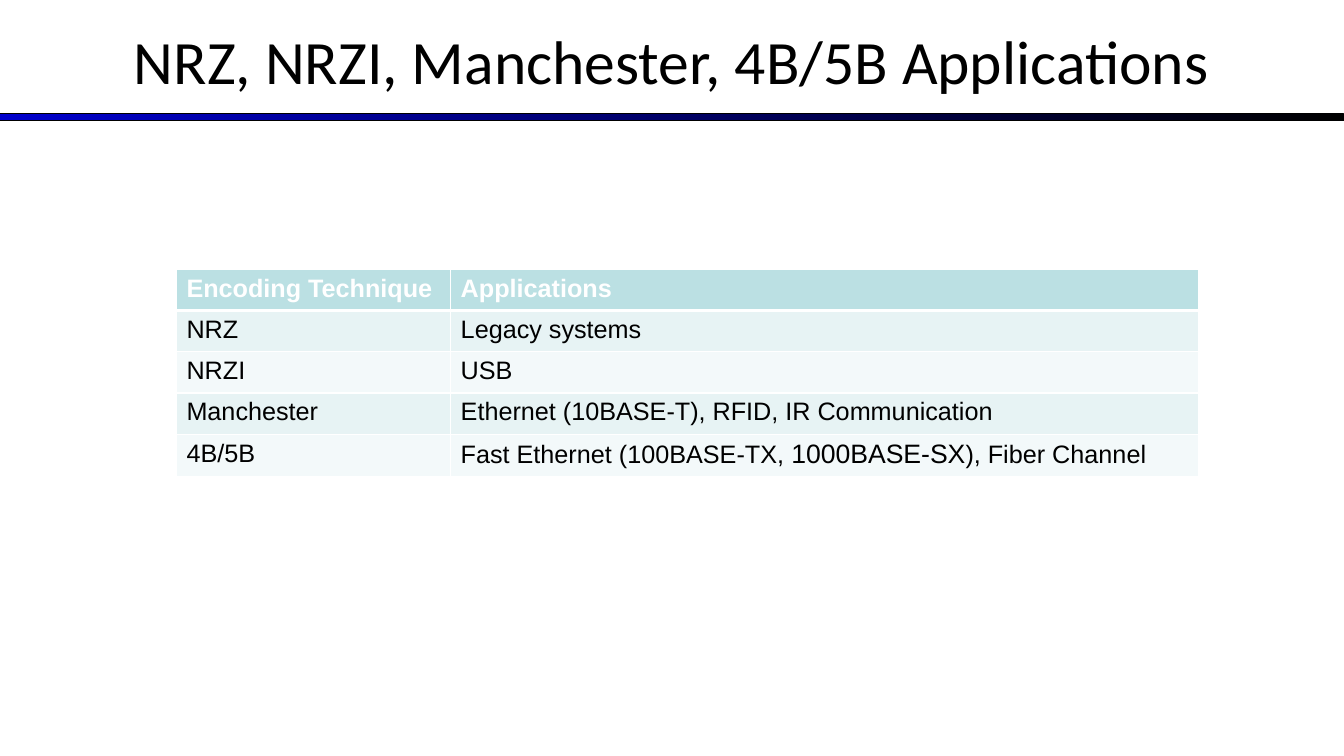
from dataclasses import dataclass

from lxml import etree
from pptx import Presentation
from pptx.dml.color import RGBColor
from pptx.enum.shapes import MSO_SHAPE
from pptx.enum.text import MSO_ANCHOR, PP_ALIGN
from pptx.oxml.ns import qn
from pptx.util import Inches, Pt

RECT = MSO_SHAPE.RECTANGLE
MIDDLE = MSO_ANCHOR.MIDDLE
CENTER = PP_ALIGN.CENTER

BLACK = RGBColor(0x00, 0x00, 0x00)
WHITE = RGBColor(0xFF, 0xFF, 0xFF)
BLUE = RGBColor(0x00, 0x00, 0xCC)
HEADER = RGBColor(0xBB, 0xE0, 0xE3)
BANDS = (RGBColor(0xE7, 0xF3, 0xF4), RGBColor(0xF3, 0xF9, 0xFA))

SLIDE_W, SLIDE_H = 13.33, 7.5
COL_WIDTHS = (2.72, 7.42)
ROW_H = 0.41
THIN, THICK = 1, 3

TITLE_FONT = {"name": "Calibri", "size": Pt(44)}
HEADER_FONT = {"name": "Arial", "size": Pt(18), "bold": True}
BODY_FONT = {"name": "Arial", "size": Pt(18), "bold": False}
LARGE_FONT = {**BODY_FONT, "size": Pt(19)}


@dataclass(frozen=True)
class Run:
    text: str
    font: dict
    color: RGBColor = BLACK


@dataclass(frozen=True)
class Row:
    technique: Run
    applications: tuple[Run, ...]
    fill: RGBColor


def body_row(index: int, technique: str, *applications: Run) -> Row:
    return Row(Run(technique, BODY_FONT), applications, BANDS[index % 2])


ROWS = (
    Row(
        Run("Encoding Technique", HEADER_FONT, WHITE),
        (Run("Applications", HEADER_FONT, WHITE),),
        HEADER,
    ),
    body_row(0, "NRZ", Run("Legacy systems", BODY_FONT)),
    body_row(1, "NRZI", Run("USB", BODY_FONT)),
    body_row(2, "Manchester", Run("Ethernet (10BASE-T), RFID, IR Communication", BODY_FONT)),
    body_row(
        3,
        "4B/5B",
        Run("Fast Ethernet (100BASE-TX, ", BODY_FONT),
        Run("1000BASE-SX", LARGE_FONT),
        Run("), Fiber Channel", BODY_FONT),
    ),
)


def add_runs(p, runs: tuple[Run, ...]) -> None:
    for run in runs:
        r = p.add_run()
        r.text = run.text
        for name, value in run.font.items():
            setattr(r.font, name, value)
        r.font.color.rgb = run.color


def set_borders(cell, top: float, bottom: float) -> None:
    tc_pr = cell._tc.get_or_add_tcPr()
    for side, width in {"L": THIN, "R": THIN, "T": top, "B": bottom}.items():
        ln = etree.SubElement(tc_pr, qn(f"a:ln{side}"), w=str(Pt(width)))
        fill = etree.SubElement(ln, qn("a:solidFill"))
        etree.SubElement(fill, qn("a:srgbClr"), val=str(WHITE))


def add_rule(s) -> None:
    sp = s.shapes.add_shape(RECT, Inches(0), Inches(1.13), Inches(SLIDE_W), Inches(0.07))
    sp.shadow.inherit = False
    sp.fill.gradient()
    sp.fill.gradient_angle = 0
    for stop, color, position in zip(sp.fill.gradient_stops, (BLUE, BLACK), (0, 1)):
        stop.color.rgb = color
        stop.position = position
    sp.line.color.rgb = BLACK
    sp.line.width = Pt(0.75)


def add_title(s, text: str) -> None:
    sp = s.shapes.add_textbox(Inches(0), Inches(-0.03), Inches(SLIDE_W), Inches(1.25))
    tf = sp.text_frame
    tf.word_wrap = True
    tf.vertical_anchor = MIDDLE
    p = tf.paragraphs[0]
    p.alignment = CENTER
    add_runs(p, (Run(text, TITLE_FONT),))


def add_encoding_table(s, rows: tuple[Row, ...]) -> None:
    table = s.shapes.add_table(
        len(rows), len(COL_WIDTHS), Inches(1.75), Inches(2.67),
        Inches(sum(COL_WIDTHS)), Inches(ROW_H * len(rows)),
    ).table
    for column, width in zip(table.columns, COL_WIDTHS):
        column.width = Inches(width)
    for i, row in enumerate(rows):
        table.rows[i].height = Inches(ROW_H)
        for j, runs in enumerate(((row.technique,), row.applications)):
            cell = table.cell(i, j)
            set_borders(cell, THICK if i == 1 else THIN, THICK if i == 0 else THIN)
            cell.fill.solid()
            cell.fill.fore_color.rgb = row.fill
            add_runs(cell.text_frame.paragraphs[0], runs)


def main() -> None:
    prs = Presentation()
    prs.slide_width = Inches(SLIDE_W)
    prs.slide_height = Inches(SLIDE_H)
    s = prs.slides.add_slide(prs.slide_layouts[6])
    add_rule(s)
    add_title(s, "NRZ, NRZI, Manchester, 4B/5B Applications")
    add_encoding_table(s, ROWS)
    prs.save("out.pptx")


if __name__ == "__main__":
    main()
